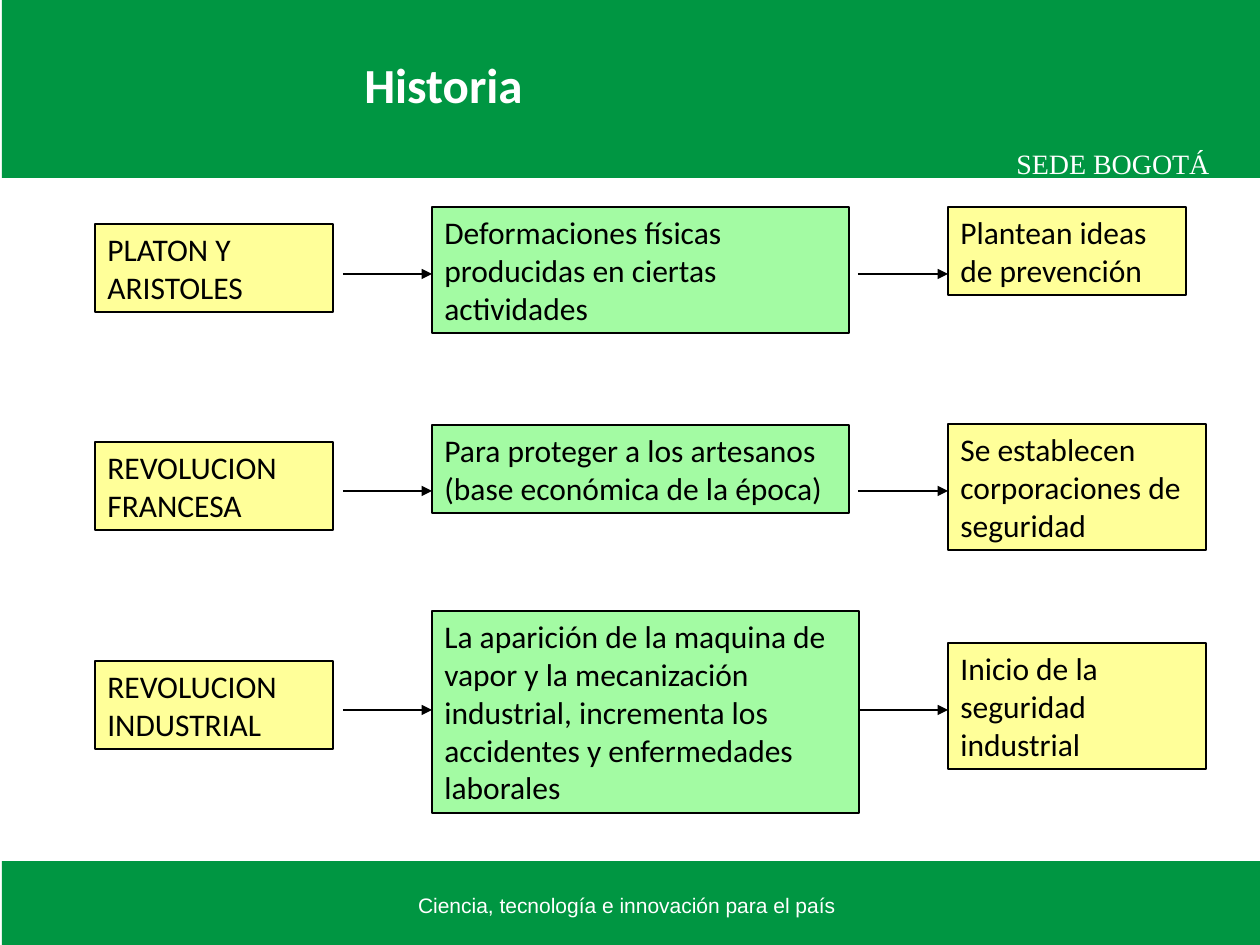
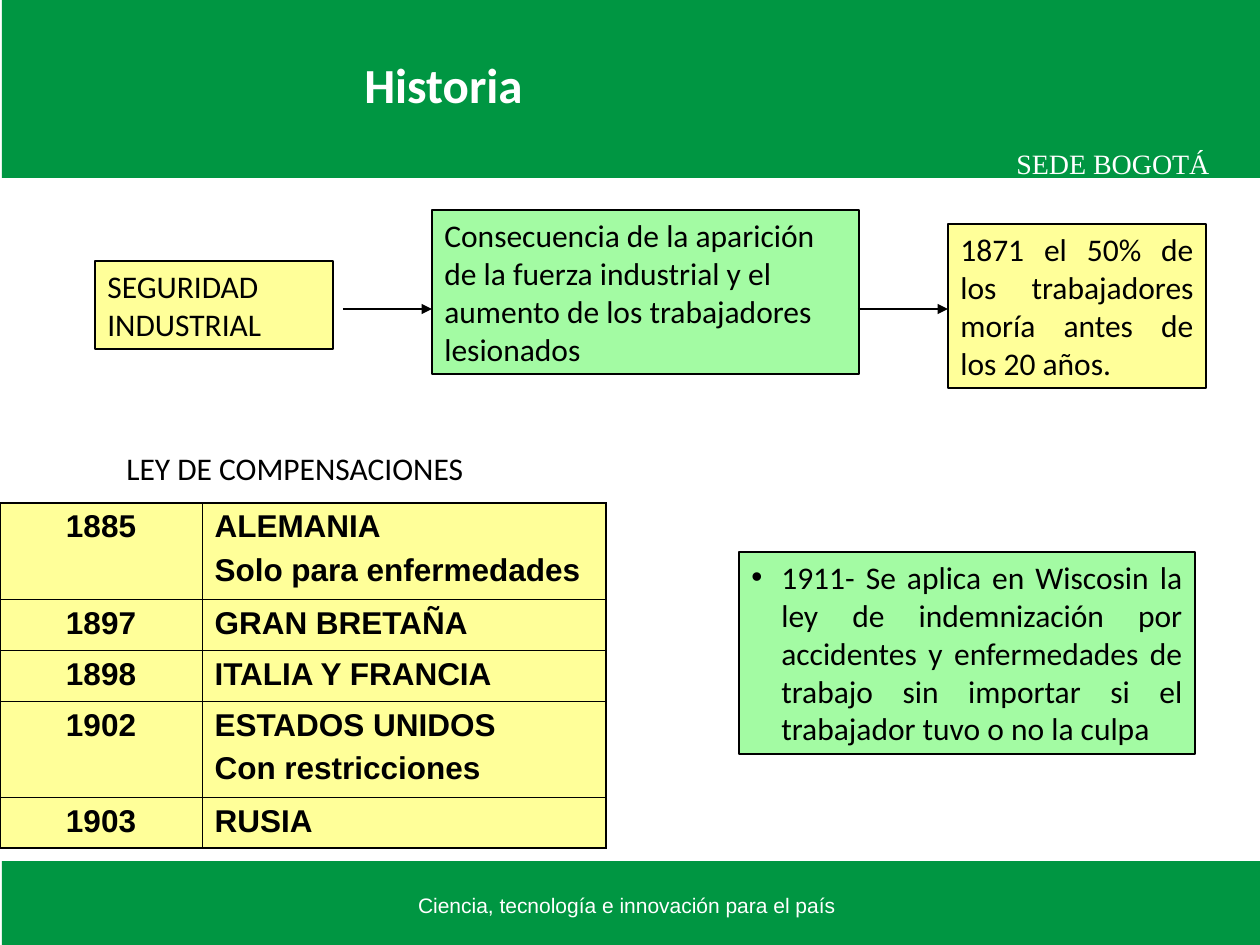
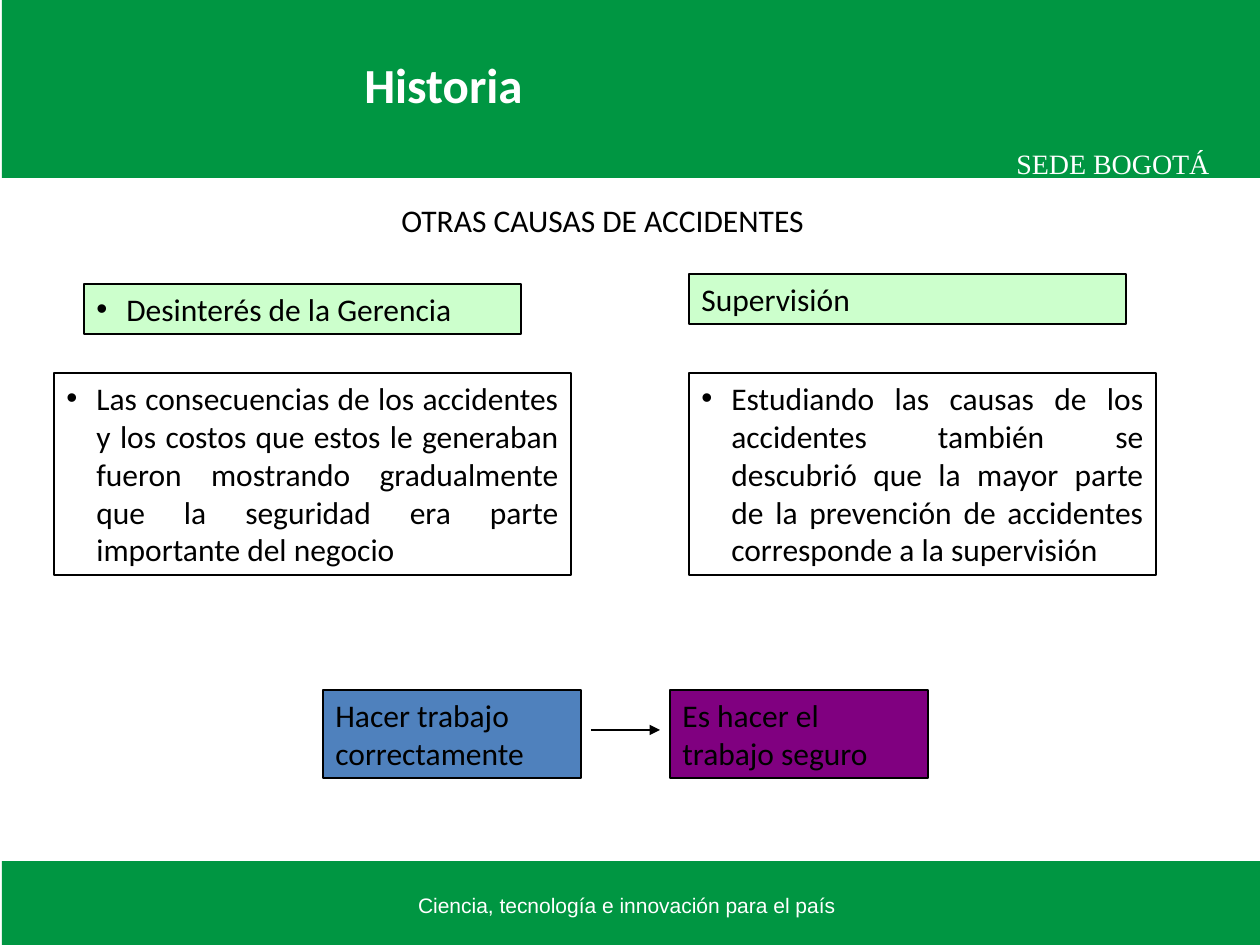
import pptx
import pptx.dml.color
import pptx.enum.shapes
import pptx.enum.text
import pptx.oxml
import pptx.oxml.ns
import pptx.util

ALIGN = pptx.enum.text.PP_ALIGN
ANCHOR = pptx.enum.text.MSO_ANCHOR
SCALE = 914400 / 126  # EMU per px

# Shared colours and text styles
GREEN, MINT, PALE, YELLOW = "009642", "A3FBA3", "CCFFCC", "FFFF99"
BLUE, PURPLE, BLACK, WHITE = "4F81BD", "800080", "000000", "FFFFFF"
BODY = {"name": "Calibri", "size": 18, "color": BLACK, "bold": False,
        "align": ALIGN.LEFT, "before": 11.2}
TIGHT = {**BODY, "before": 4.5}
JUSTIFIED = {**TIGHT, "align": ALIGN.JUSTIFY}
BULLET = {**JUSTIFIED, "bullet": True}
LABEL = {**BODY, "before": 0}
BANNER = {**LABEL, "color": WHITE, "align": ALIGN.CENTER}
TITLE = {**BANNER, "size": 28, "bold": True}
FOOTER = {**BANNER, "name": "Arial", "size": 12}
CAMPUS = {**BANNER, "name": "Times New Roman", "size": 16}
CELL = {**TIGHT, "name": "Arial", "bold": True}

# Frame of every slide
BANDS = [(2, 0, 1258, 178), (2, 861, 1258, 84)]
HEADINGS = [
    ((20, 0, 847, 168), "Historia", TITLE),
    ((916, 140, 394, 47), "SEDE BOGOTÁ", CAMPUS),
    ((0, 886, 1254, 38), "Ciencia, tecnología e innovación para el país", FOOTER),
]

# Flows: arrow height, then (top, width, line count, text, style) per column
FLOW_LEFTS = (95, 432, 948)
FLOW_FILLS = (YELLOW, MINT, YELLOW)
FLOW_ARROWS = ((343, 432), (858, 948))
EARLY_FLOWS = [
    (274, [(224, 238, 2, "PLATON Y ARISTOLES", BODY),
           (207, 417, 3, "Deformaciones físicas producidas en ciertas actividades", BODY),
           (207, 238, 2, "Plantean ideas de prevención", BODY)]),
    (491, [(442, 238, 2, "REVOLUCION FRANCESA", BODY),
           (425, 417, 2, "Para proteger a los artesanos (base económica de la época)", BODY),
           (424, 258, 3, "Se establecen corporaciones de seguridad", BODY)]),
    (710, [(661, 238, 2, "REVOLUCION INDUSTRIAL", BODY),
           (611, 427, 5, "La aparición de la maquina de vapor y la mecanización industrial, "
                         "incrementa los accidentes y enfermedades laborales", BODY),
           (643, 258, 3, "Inicio de la seguridad industrial", BODY)]),
]
SAFETY_FLOW = (309, [
    (261, 238, 2, "SEGURIDAD INDUSTRIAL", BODY),
    (210, 427, 4, "Consecuencia de la aparición de la fuerza industrial y el aumento "
                  "de los trabajadores lesionados", BODY),
    (224, 258, 4, "1871 el 50% de los trabajadores moría antes de los 20 años.", JUSTIFIED),
])

# Compensation laws
LAWS = [
    ("1885", ["ALEMANIA", "Solo para enfermedades"]),
    ("1897", ["GRAN BRETAÑA"]),
    ("1898", ["ITALIA Y FRANCIA"]),
    ("1902", ["ESTADOS UNIDOS", "Con restricciones"]),
    ("1903", ["RUSIA"]),
]
LAW_COLUMNS = (202, 404)
LAW_ROW_HEIGHTS = {1: 51, 2: 96}
WISCOSIN = (
    739, 552, 456, 5, "1911- Se aplica en Wiscosin la ley de indemnización por accidentes y "
    "enfermedades de trabajo sin importar si el trabajador tuvo o no la culpa", BULLET, MINT)

# Other causes: (left, top, width, line count, text, style, fill)
CAUSES = [
    (84, 284, 437, 1, "Desinterés de la Gerencia", BULLET, PALE),
    (54, 373, 517, 5, "Las consecuencias de los accidentes y los costos que estos le generaban "
     "fueron mostrando gradualmente que la seguridad era parte importante del negocio",
     BULLET, None),
    (689, 373, 467, 5, "Estudiando las causas de los accidentes también se descubrió que la "
     "mayor parte de la prevención de accidentes corresponde a la supervisión", BULLET, None),
    (689, 274, 437, 1, "Supervisión", TIGHT, PALE),
    (323, 690, 258, 2, "Hacer trabajo correctamente", BODY, BLUE),
    (670, 690, 258, 2, "Es hacer el trabajo seguro", BODY, PURPLE),
]


def px(*lengths):
    return [pptx.util.Emu(round(length * SCALE)) for length in lengths]


def rgb(value):
    return pptx.dml.color.RGBColor.from_string(value)


def xml(markup):
    tag, rest = markup.split(" ", 1) if " " in markup else (markup, "")
    return pptx.oxml.parse_xml(f'<{tag} {pptx.oxml.ns.nsdecls("a")} {rest}/>')


def paint(fill, color):
    if color:
        fill.solid()
        fill.fore_color.rgb = rgb(color)
    else:
        fill.background()


def write(frame, lines, style):
    for index, line in enumerate(lines):
        para = frame.add_paragraph() if index else frame.paragraphs[0]
        para.alignment = style["align"]
        para.space_before = pptx.util.Pt(style["before"])
        span = para.add_run()
        span.text = line
        font = {"name": style["name"], "size": pptx.util.Pt(style["size"]),
                "bold": style["bold"]}
        for key, value in font.items():
            setattr(span.font, key, value)
        span.font.color.rgb = rgb(style["color"])
        if style.get("bullet"):
            properties = para._p.get_or_add_pPr()
            indent, = px(30)
            properties.set("marL", str(indent))
            properties.set("indent", str(-indent))
            properties.append(xml('a:buFont typeface="Arial"'))
            properties.append(xml('a:buChar char="•"'))


def add_text(page, area, text, style, wrap=True, anchor=ANCHOR.TOP):
    frame = page.shapes.add_textbox(*px(*area)).text_frame
    frame.word_wrap = wrap
    frame.vertical_anchor = anchor
    write(frame, [text], style)


def add_rectangle(page, area, fill, outline=None):
    box = page.shapes.add_shape(pptx.enum.shapes.MSO_SHAPE.RECTANGLE, *px(*area))
    box.shadow.inherit = False
    paint(box.fill, fill)
    paint(box.line.fill, outline)
    return box


def add_box(page, left, top, width, line_count, text, style, fill):
    box = add_rectangle(page, (left, top, width, 12 + 38 * line_count), fill, BLACK)
    box.line.width = pptx.util.Pt(0.75)
    box.text_frame.word_wrap = True
    box.text_frame.vertical_anchor = ANCHOR.TOP
    write(box.text_frame, [text], style)


def add_arrow(page, start, end, y):
    arrow = page.shapes.add_connector(
        pptx.enum.shapes.MSO_CONNECTOR.STRAIGHT, *px(start, y, end, y))
    paint(arrow.line.fill, BLACK)
    arrow.line.width = pptx.util.Pt(0.75)
    properties = arrow.element.spPr
    properties.find(pptx.oxml.ns.qn("a:ln")).append(xml('a:tailEnd type="triangle"'))
    properties.append(xml("a:effectLst"))


def add_flow(page, arrow_y, steps):
    for left, fill, (top, width, line_count, text, style) in zip(FLOW_LEFTS, FLOW_FILLS, steps):
        add_box(page, left, top, width, line_count, text, style, fill)
    for start, end in FLOW_ARROWS:
        add_arrow(page, start, end, arrow_y)


def add_border(cell, side, points):
    border = xml(f'a:{side} w="{pptx.util.Pt(points)}"')
    fill = xml("a:solidFill")
    fill.append(xml(f'a:srgbClr val="{BLACK}"'))
    border.append(fill)
    cell._tc.get_or_add_tcPr().append(border)


def add_laws(page):
    heights = [LAW_ROW_HEIGHTS[len(lines)] for _, lines in LAWS]
    area = px(0, 503, sum(LAW_COLUMNS), sum(heights))
    table = page.shapes.add_table(len(LAWS), len(LAW_COLUMNS), *area).table
    table.first_row = table.horz_banding = False
    for column, width in zip(table.columns, px(*LAW_COLUMNS)):
        column.width = width
    last_row, last_column = len(LAWS) - 1, len(LAW_COLUMNS) - 1
    for r, (height, (year, lines)) in enumerate(zip(px(*heights), LAWS)):
        table.rows[r].height = height
        contents = [([year], {**CELL, "align": ALIGN.CENTER}), (lines, CELL)]
        for c, (texts, style) in enumerate(contents):
            cell = table.cell(r, c)
            write(cell.text_frame, texts, style)
            outer = {"lnL": c == 0, "lnR": c == last_column,
                     "lnT": r == 0, "lnB": r == last_row}
            for side, is_outer in outer.items():
                add_border(cell, side, 1.08 if is_outer else 0.45)
            paint(cell.fill, YELLOW)


def add_page(deck):
    page = deck.slides.add_slide(deck.slide_layouts[6])
    for area in BANDS:
        add_rectangle(page, area, GREEN)
    for area, text, style in HEADINGS:
        add_text(page, area, text, style,
                 anchor=ANCHOR.MIDDLE if style is TITLE else ANCHOR.TOP)
    return page


def main():
    deck = pptx.Presentation()
    deck.slide_width, deck.slide_height = px(1260, 945)

    # Early history
    page = add_page(deck)
    for flow in EARLY_FLOWS:
        add_flow(page, *flow)

    # Industrial safety and compensation laws
    page = add_page(deck)
    add_flow(page, *SAFETY_FLOW)
    add_laws(page)
    add_text(page, (114, 443, 517, 50), "LEY DE COMPENSACIONES", BODY)
    add_box(page, *WISCOSIN)

    # Other causes of accidents
    page = add_page(deck)
    add_text(page, (389, 195, 430, 50), "OTRAS CAUSAS DE ACCIDENTES", LABEL, wrap=False)
    for cause in CAUSES:
        add_box(page, *cause)
    add_arrow(page, 591, 660, 730)

    deck.save("out.pptx")


if __name__ == "__main__":
    main()
